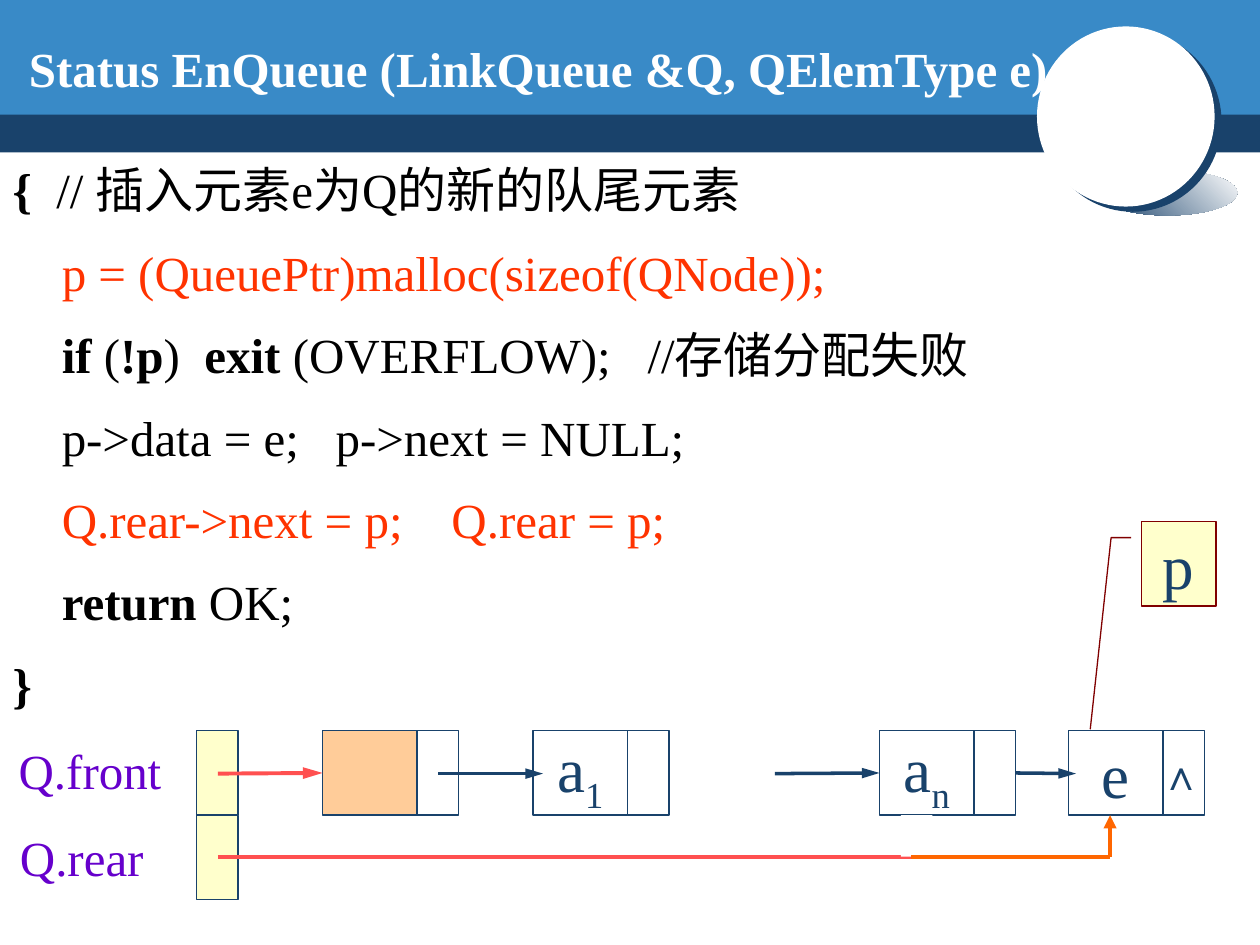
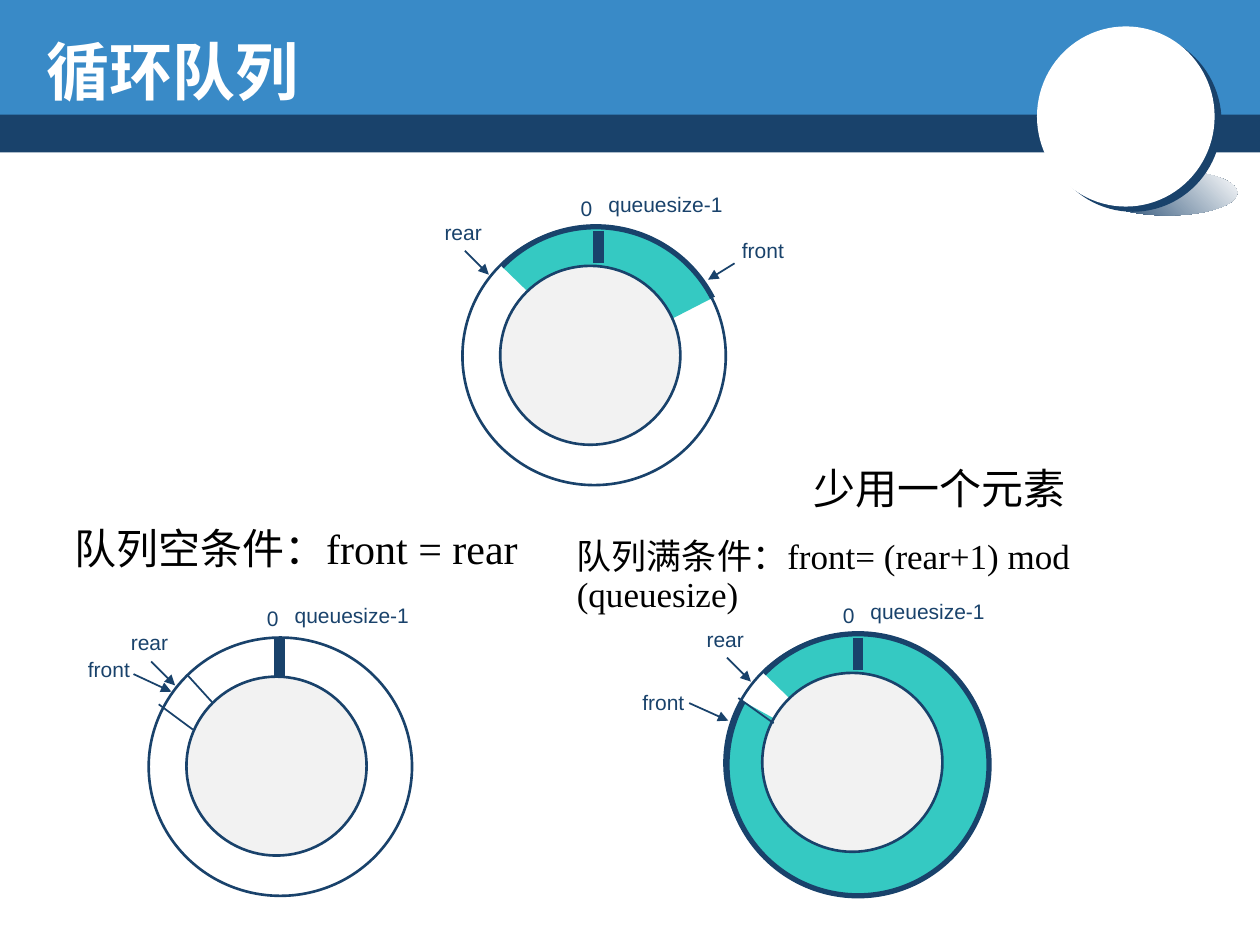
from dataclasses import dataclass
from typing import NamedTuple, Optional

from lxml import etree
from pptx import Presentation
from pptx.dml.color import RGBColor
from pptx.enum.shapes import MSO_CONNECTOR, MSO_SHAPE
from pptx.enum.text import MSO_ANCHOR, MSO_AUTO_SIZE, PP_ALIGN
from pptx.oxml.ns import qn
from pptx.util import Inches, Pt

NAVY = RGBColor(0x19, 0x42, 0x6B)
BLUE = RGBColor(0x39, 0x8A, 0xC7)
WHITE = RGBColor(0xFF, 0xFF, 0xFF)
BLACK = RGBColor(0, 0, 0)
RED = RGBColor(0xFF, 0x33, 0)
PINK = RGBColor(0xFF, 0x50, 0x50)
ORANGE = RGBColor(0xFF, 0x66, 0)
PEACH = RGBColor(0xFF, 0xCC, 0x99)
CREAM = RGBColor(0xFF, 0xFF, 0xCC)
MAROON = RGBColor(0x80, 0, 0)
PURPLE = RGBColor(0x66, 0, 0xCC)
TEAL = RGBColor(0x35, 0xC9, 0xC2)
PALE_GRAY = RGBColor(0xF2, 0xF2, 0xF2)

SERIF = "Times New Roman"
SANS = "Arial"

RECTANGLE = MSO_SHAPE.RECTANGLE
ELLIPSE = MSO_SHAPE.OVAL
ARC = MSO_SHAPE.ARC
CALLOUT = MSO_SHAPE.LINE_CALLOUT_2
STRAIGHT = MSO_CONNECTOR.STRAIGHT
MIDDLE = MSO_ANCHOR.MIDDLE
TOP = MSO_ANCHOR.TOP
LEFT = PP_ALIGN.LEFT
CENTER = PP_ALIGN.CENTER
NO_AUTOFIT = MSO_AUTO_SIZE.NONE

LEFT_SIDE, RIGHT_SIDE = 1, 3

CELL_TOP, CELL_HEIGHT = 5.8, 0.67
DATA_WIDTH, LINK_WIDTH = 0.75, 0.33
LINK_Y = 6.14
REAR_Y = 6.8


class Span(NamedTuple):
    text: str
    bold: bool = False
    color: RGBColor = BLACK


class CodeLine(NamedTuple):
    spans: list[Span]
    indent: float = 0.39


class Node(NamedTuple):
    left: float
    label: str = ""
    subscript: str = ""
    fill: Optional[RGBColor] = None


@dataclass
class Ring:
    """A circular queue; everything but left and top is relative to them."""
    left: float
    top: float
    front_label: tuple[float, float]
    front_arrow: tuple[float, float, float, float]
    bar: tuple[float, float, float]
    arc: Optional[tuple[float, float]] = None
    dividers: tuple[tuple[float, float, float, float], ...] = ()


CODE = [
    CodeLine([Span("{", True), Span("  // 插入元素e为Q的新的队尾元素")], 0),
    CodeLine([Span("p = (QueuePtr)malloc(sizeof(QNode));", color=RED)]),
    CodeLine([Span("if", True), Span(" ("), Span("!p", True), Span(")  "),
              Span("exit ", True), Span("(OVERFLOW);   //存储分配失败")]),
    CodeLine([Span("p->data = e;   p->next = NULL;")]),
    CodeLine([Span("Q.rear->next = p;    Q.rear = p;", color=RED)]),
    CodeLine([Span("return", True), Span(" OK;")]),
    CodeLine([Span("}", True)], 0),
]

NODES = [
    Node(2.56, fill=PEACH),
    Node(4.23, "a", "1"),
    Node(6.98, "a", "n"),
    Node(8.48, "e"),
]

RINGS = [
    Ring(3.67, 1.8, (2.12, 0.04), (2.16, 0.29, 1.95, 0.42),
         (1.08, 0.03, 0.29), arc=(224.14, 332.83)),
    Ring(1.18, 5.06, (-0.58, 0.1), (-0.12, 0.29, 0.18, 0.43),
         (1.04, 0, 0.32),
         dividers=((0.31, 0.3, 0.51, 0.52), (0.08, 0.53, 0.35, 0.73))),
    Ring(5.75, 5.03, (-0.75, 0.39), (-0.28, 0.55, 0.03, 0.69),
         (1.06, 0.03, 0.29), arc=(224.14, 208.87),
         dividers=((0.11, 0.51, 0.39, 0.71),)),
]


def add_span(para, text: str, *, size: float, font: str = SERIF,
             color: RGBColor = NAVY, bold: bool = False, baseline: int = 0) -> None:
    span = para.add_run()
    span.text = text
    span.font.size = Pt(size)
    span.font.name = font
    span.font.bold = bold
    span.font.color.rgb = color
    if baseline:
        span.font._element.set("baseline", str(baseline * 1000))


def add_text(page, text: str, left: float, top: float, width: float, height: float,
             *, wrap: bool = False, spacing: float = 1.0, **text_format) -> None:
    frame = page.shapes.add_textbox(Inches(left), Inches(top),
                                    Inches(width), Inches(height)).text_frame
    frame.word_wrap = wrap
    para = frame.paragraphs[0]
    para.line_spacing = spacing
    add_span(para, text, **text_format)


def add_box(page, kind, left: float, top: float, width: float, height: float, *,
            fill: Optional[RGBColor] = None, line: Optional[RGBColor] = None,
            weight: float = 0.75):
    box = page.shapes.add_shape(kind, Inches(left), Inches(top),
                                Inches(width), Inches(height))
    box.shadow.inherit = False
    if fill is None:
        box.fill.background()
    else:
        box.fill.solid()
        box.fill.fore_color.rgb = fill
    if line is None:
        box.line.fill.background()
    else:
        box.line.color.rgb = line
        box.line.width = Pt(weight)
    return box


def add_line(page, x1: float, y1: float, x2: float, y2: float, *,
             color: RGBColor = NAVY, weight: float = 1, head: str = ""):
    """Draw a line; head is the arrowhead length (med or lg), empty for none."""
    line = page.shapes.add_connector(STRAIGHT, Inches(x1), Inches(y1),
                                     Inches(x2), Inches(y2))
    line.line.color.rgb = color
    line.line.width = Pt(weight)
    properties = line._element.spPr
    if head:
        etree.SubElement(properties.find(qn("a:ln")), qn("a:tailEnd"),
                         type="triangle", w="med", len=head)
    etree.SubElement(properties, qn("a:effectLst"))
    return line


def label_box(box, text: str, subscript: str = "") -> None:
    frame = box.text_frame
    frame.word_wrap = False
    frame.vertical_anchor = MIDDLE
    para = frame.paragraphs[0]
    para.alignment = CENTER
    add_span(para, text, size=36)
    if subscript:
        add_span(para, subscript, size=36, baseline=-25)


def place(holder, left: float, top: float, width: float, height: float, anchor):
    holder.left, holder.top = Inches(left), Inches(top)
    holder.width, holder.height = Inches(width), Inches(height)
    frame = holder.text_frame
    frame.auto_size = NO_AUTOFIT
    frame.word_wrap = True
    frame.vertical_anchor = anchor
    return frame


def set_title(page, text: str, left: float, top: float, size: float) -> None:
    para = place(page.shapes.title, left, top, 9, 0.7, MIDDLE).paragraphs[0]
    para.alignment = LEFT
    add_span(para, text, size=size, color=WHITE, bold=True)


def move_bands_to_master(deck, page) -> None:
    """Draw the header on a page, then hand it to the master for all pages."""
    lower_band = add_box(page, RECTANGLE, 0, 0.87, 10, 0.34, fill=NAVY)
    upper_band = add_box(page, RECTANGLE, 0, 0, 10, 0.91, fill=BLUE)
    glow = add_box(page, ELLIPSE, 8.71, 1.35, 1.11, 0.36)
    glow.fill.gradient()
    glow.fill.gradient_angle = 45
    for stop, color in zip(glow.fill.gradient_stops, (NAVY, WHITE)):
        stop.color.rgb = color
    disc = add_box(page, ELLIPSE, 8.23, 0.21, 1.41, 1.43, fill=WHITE)
    effects = disc._element.spPr.find(qn("a:effectLst"))
    shadow = etree.SubElement(effects, qn("a:outerShdw"), blurRad="0",
                              dist=str(Pt(5)), dir=str(37 * 60000),
                              algn="ctr", rotWithShape="0")
    etree.SubElement(shadow, qn("a:srgbClr"), val=str(NAVY))
    tree = deck.slide_master.shapes.element
    for number, shape in enumerate((lower_band, upper_band, glow, disc), 101):
        shape._element.nvSpPr.cNvPr.set("id", str(number))
        tree.append(shape._element)


def write_code(holder) -> None:
    frame = place(holder, 0, 1.03, 9.75, 4.75, TOP)
    for index, code_line in enumerate(CODE):
        para = frame.add_paragraph() if index else frame.paragraphs[0]
        para.line_spacing = Pt(47.1)
        para.space_before = Pt(0)
        properties = para._p.get_or_add_pPr()
        properties.set("marL", str(Inches(code_line.indent)))
        properties.set("indent", "0")
        etree.SubElement(properties, qn("a:buNone"))
        for span in code_line.spans:
            add_span(para, span.text, size=28, bold=span.bold, color=span.color)


def add_node(page, node: Node):
    """Draw a list node and return its data cell and its link cell."""
    data = add_box(page, RECTANGLE, node.left, CELL_TOP, DATA_WIDTH, CELL_HEIGHT,
                   fill=node.fill, line=NAVY)
    link = add_box(page, RECTANGLE, node.left + DATA_WIDTH, CELL_TOP,
                   LINK_WIDTH, CELL_HEIGHT, line=NAVY)
    if node.label:
        label_box(data, node.label, node.subscript)
    return data, link


def draw_linked_queue(page) -> None:
    for row in range(2):
        add_box(page, RECTANGLE, 1.56, CELL_TOP + row * CELL_HEIGHT,
                LINK_WIDTH, CELL_HEIGHT, fill=CREAM, line=NAVY)
    add_text(page, "Q.front", 0.05, 5.78, 1.34, 0.61, spacing=1.1,
             size=28, color=PURPLE)
    add_text(page, "Q.rear", 0.06, 6.52, 1.18, 0.57, size=28, color=PURPLE)

    (head, _), _, (last, last_link), _ = [add_node(page, node) for node in NODES]
    add_text(page, "∧", 9.11, 5.89, 0.53, 0.5, size=24)

    pointer = add_box(page, CALLOUT, 9.06, 4.14, 0.59, 0.67, fill=CREAM, line=MAROON)
    for index, value in enumerate((0.19, -0.14, 0.19, -0.41, 2.46, -0.69)):
        pointer.adjustments[index] = value
    label_box(pointer, "p")

    front = add_line(page, 1.73, LINK_Y, 2.56, LINK_Y, color=PINK, weight=2.25, head="lg")
    front.end_connect(head, LEFT_SIDE)
    add_line(page, 3.48, LINK_Y, 4.31, LINK_Y, weight=2, head="lg")
    to_last = add_line(page, 6.15, LINK_Y, 6.98, LINK_Y, weight=2, head="lg")
    to_last.end_connect(last, LEFT_SIDE)
    to_new = add_line(page, 8.06, LINK_Y, 8.54, LINK_Y, weight=2, head="lg")
    to_new.begin_connect(last_link, RIGHT_SIDE)

    add_line(page, 1.73, REAR_Y, 7.23, REAR_Y, color=PINK, weight=2.25)
    add_box(page, RECTANGLE, 7.15, 6.47, 0.25, 0.33, fill=WHITE)
    add_line(page, 7.23, REAR_Y, 8.81, REAR_Y, color=ORANGE, weight=2.5)
    add_line(page, 8.81, REAR_Y, 8.81, 6.47, color=ORANGE, weight=2.5, head="med")


def draw_ring(page, ring: Ring) -> None:
    x, y = ring.left, ring.top

    def ring_line(x1: float, y1: float, x2: float, y2: float, **line_format) -> None:
        add_line(page, x + x1, y + y1, x + x2, y + y2, **line_format)

    add_box(page, ELLIPSE, x, y, 2.09, 2.05, fill=WHITE, line=NAVY, weight=1.5)
    if ring.arc:
        arc = add_box(page, ARC, x + 0.02, y, 2.08, 2.08, fill=TEAL, line=NAVY, weight=3)
        for index, degrees in enumerate(ring.arc):
            arc.adjustments[index] = degrees * 0.6
    add_box(page, ELLIPSE, x + 0.3, y + 0.31, 1.43, 1.42,
            fill=PALE_GRAY, line=NAVY, weight=1.5)

    front_x, front_y = ring.front_label
    for text, dx, dy, width in (("0", 0.84, -0.3, 0.29),
                                ("queuesize-1", 1.06, -0.33, 1.11),
                                ("rear", -0.24, -0.11, 0.5),
                                ("front", front_x, front_y, 0.54)):
        add_text(page, text, x + dx, y + dy, width, 0.3, size=12, font=SANS)
    ring_line(0.02, 0.19, 0.21, 0.38, head="med")
    ring_line(*ring.front_arrow, head="med")
    for divider in ring.dividers:
        ring_line(*divider)
    bar_x, bar_top, bar_bottom = ring.bar
    ring_line(bar_x, bar_top, bar_x, bar_bottom, weight=6)


def main() -> None:
    deck = Presentation()
    deck.slide_width, deck.slide_height = Inches(10), Inches(7.5)

    enqueue_page = deck.slides.add_slide(deck.slide_layouts[1])
    move_bands_to_master(deck, enqueue_page)
    set_title(enqueue_page, "Status EnQueue (LinkQueue &Q, QElemType e)", 0.13, 0.19, 28)
    write_code(enqueue_page.placeholders[1])
    draw_linked_queue(enqueue_page)

    ring_page = deck.slides.add_slide(deck.slide_layouts[5])
    set_title(ring_page, "循环队列", 0.27, 0.21, 36)
    for ring in RINGS:
        draw_ring(ring_page, ring)
    for text, left, top, width, size in (
            ("队列空条件：front = rear", 0.49, 4.14, 4.31, 24),
            ("队列满条件：front= (rear+1) mod (queuesize)", 4.48, 4.23, 5.4, 20),
            ("少用一个元素", 6.36, 3.67, 3, 24)):
        add_text(ring_page, text, left, top, width, 0.46, wrap=True, spacing=0.9,
                 size=size, color=BLACK)

    deck.save("out.pptx")


if __name__ == "__main__":
    main()
